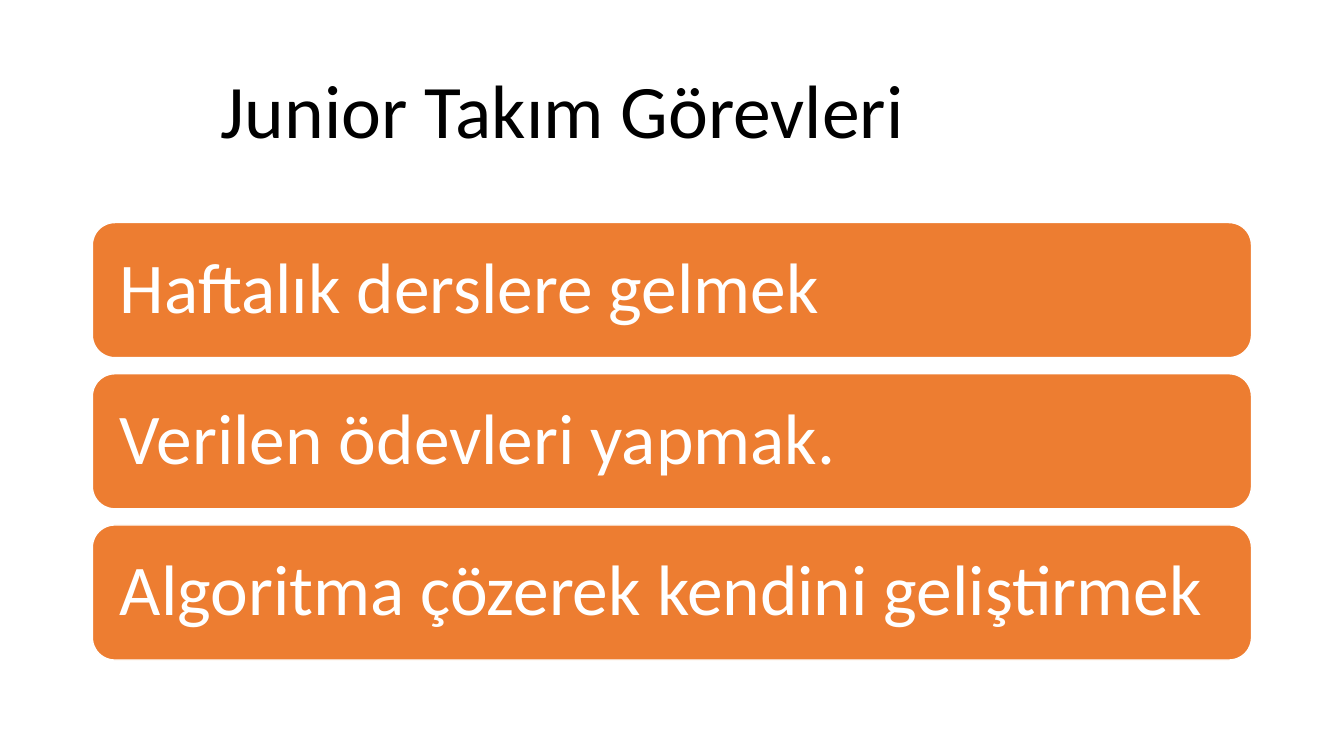
from pptx import Presentation
from pptx.dml.color import RGBColor
from pptx.enum.shapes import MSO_SHAPE
from pptx.enum.text import MSO_ANCHOR, PP_ALIGN
from pptx.util import Pt

TITLE = "Junior Takım Görevleri"
DUTIES = [
    "Haftalık derslere gelmek",
    "Verilen ödevleri yapmak.",
    "Algoritma çözerek kendini geliştirmek",
]

THEME = {
    "font": "Calibri",
    "ink": RGBColor(0x00, 0x00, 0x00),
    "paper": RGBColor(0xFF, 0xFF, 0xFF),
    "accent": RGBColor(0xED, 0x7D, 0x31),
    "title_size": 54,
    "duty_size": 51,
}

BAR_LEFT, BAR_TOP = 66, 159
BAR_WIDTH, BAR_HEIGHT = 828, 96.5
BAR_PITCH = 108


def write(box, text, *, size, color, side, edge):
    frame = box.text_frame
    frame.word_wrap = True
    frame.vertical_anchor = MSO_ANCHOR.MIDDLE
    frame.margin_left = frame.margin_right = Pt(side)
    frame.margin_top = frame.margin_bottom = Pt(edge)
    para = frame.paragraphs[0]
    para.alignment = PP_ALIGN.LEFT
    para.line_spacing = 0.9
    span = para.add_run()
    span.text = text
    span.font.name = THEME["font"]
    span.font.size = Pt(size)
    span.font.color.rgb = color


def add_duty(page, index, duty):
    bar = page.shapes.add_shape(
        MSO_SHAPE.ROUNDED_RECTANGLE,
        Pt(BAR_LEFT), Pt(BAR_TOP + index * BAR_PITCH),
        Pt(BAR_WIDTH), Pt(BAR_HEIGHT),
    )
    bar.shadow.inherit = False
    bar.fill.solid()
    bar.fill.fore_color.rgb = THEME["accent"]
    bar.line.color.rgb = THEME["paper"]
    bar.line.width = Pt(1)
    write(bar, duty, size=THEME["duty_size"], color=THEME["paper"], side=15, edge=15)


def main():
    deck = Presentation()
    deck.slide_width, deck.slide_height = Pt(960), Pt(540)
    page = deck.slides.add_slide(deck.slide_layouts[6])
    title = page.shapes.add_textbox(Pt(150.5), Pt(29), Pt(743), Pt(104.5))
    write(title, TITLE, size=THEME["title_size"], color=THEME["ink"], side=7.2, edge=3.6)
    for index, duty in enumerate(DUTIES):
        add_duty(page, index, duty)
    deck.save("out.pptx")


if __name__ == "__main__":
    main()
